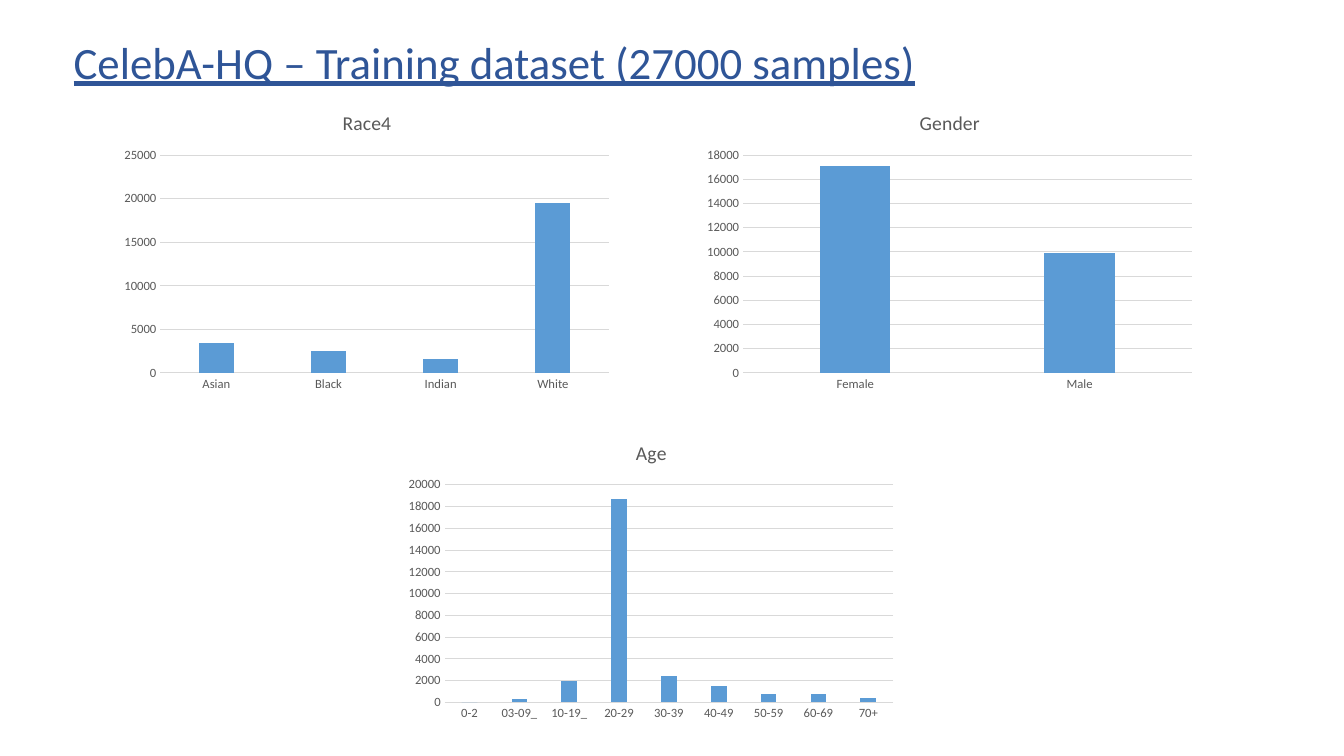
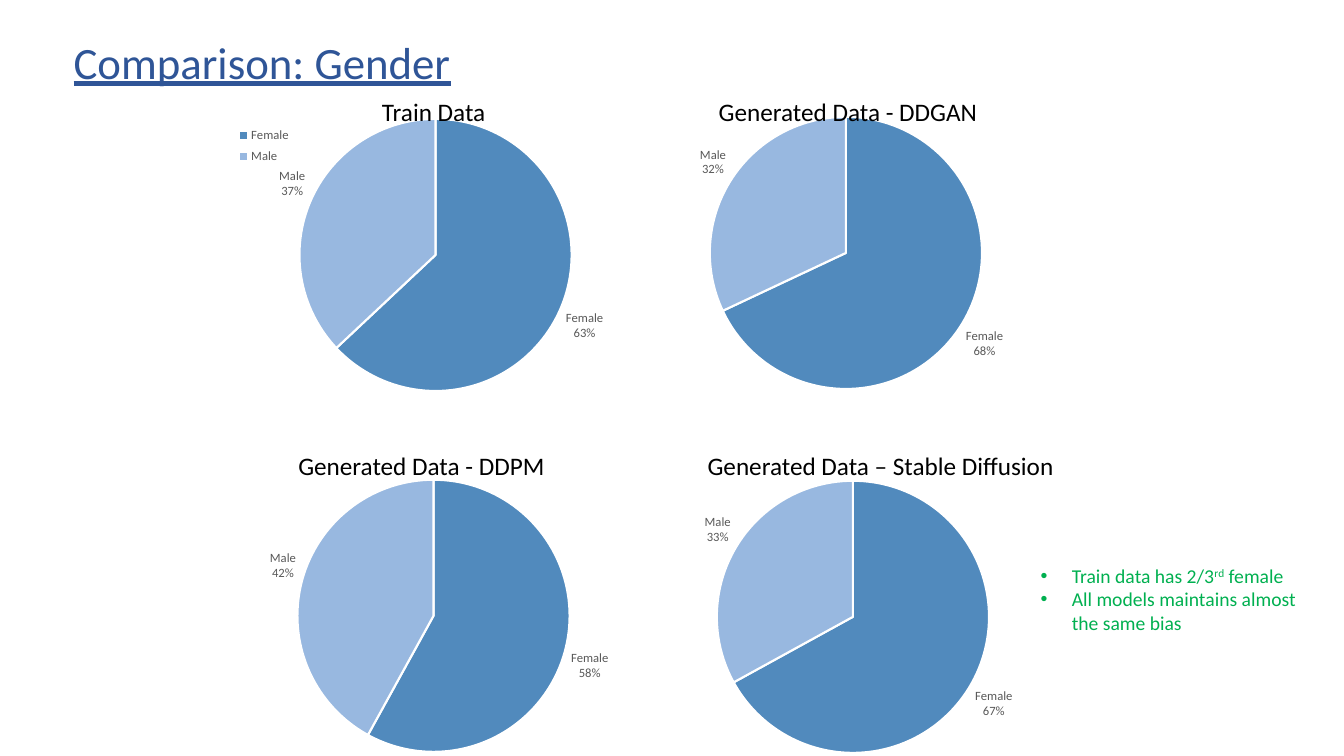
from pptx import Presentation
from pptx.chart.data import CategoryChartData
from pptx.dml.color import RGBColor
from pptx.enum.chart import XL_CHART_TYPE, XL_LABEL_POSITION, XL_LEGEND_POSITION, XL_TICK_MARK
from pptx.enum.text import MSO_ANCHOR, MSO_AUTO_SIZE, PP_ALIGN
from pptx.oxml import parse_xml
from pptx.oxml.ns import nsdecls, qn
from pptx.util import Emu, Pt

COLUMN, PIE = XL_CHART_TYPE.COLUMN_CLUSTERED, XL_CHART_TYPE.PIE
OUTSIDE = XL_LABEL_POSITION.OUTSIDE_END
RIGHT = XL_LEGEND_POSITION.RIGHT
NO_TICK = XL_TICK_MARK.NONE
TOP, LEFT = MSO_ANCHOR.TOP, PP_ALIGN.LEFT
FIT = MSO_AUTO_SIZE.SHAPE_TO_FIT_TEXT

# Shared style
PX = 9144  # 100 px to the inch
FONT = "Calibri"
BLUE, GREEN, BLACK, WHITE = "2F5597", "00B050", "000000", "FFFFFF"
GRAY, RULE, BAR = "595959", "D9D9D9", "5B9BD5"
SLICES = ("518ABD", "98B8E0")
TITLE_BOX = (63, 29, 878, 64)
CHART_SIZE = (500, 300)

# Slide 1: title, categories, values, left, top, axis maximum, axis step
DATASET_TITLE = "CelebA-HQ – Training dataset (27000 samples)"
COLUMNS = [
    ("Race4", ["Asian", "Black", "Indian", "White"],
     [3400, 2500, 1600, 19500], 114, 94, 25000, 5000),
    ("Gender", ["Female", "Male"], [17100, 9900], 692, 94, 18000, 2000),
    ("Age", ["0-2", "03-09_", "10-19_", "20-29", "30-39", "40-49", "50-59", "60-69", "70+"],
     [0, 300, 2000, 18700, 2400, 1500, 800, 800, 400], 396, 421, 20000, 2000),
]
COLUMN_PLOT = (0.09, 0.2, 0.89, 0.72)

# Slide 2: heading, heading box, shares, chart corner, plot left, legend
COMPARISON_TITLE = "Comparison: Gender"
GENDERS = ["Female", "Male"]
PIES = [
    ("Train Data", (369, 91, 132, 40), [63, 37], (222, 103), 0.15, True),
    ("Generated Data - DDGAN", (703, 91, 298, 40), [68, 32], (594, 101), 0.22, False),
    ("Generated Data - DDPM", (286, 442, 298, 40), [58, 42], (185, 461), 0.22, False),
    ("Generated Data – Stable Diffusion", (692, 442, 390, 40), [67, 33], (601, 462), 0.22, False),
]
LEGEND_AREA = (0.02, 0.06, 0.12, 0.16)
FINDINGS_BOX = (1022, 554, 298, 81)
FINDINGS = [  # paragraphs of (text, baseline in percent)
    [("Train data has 2/3", 0), ("rd", 30), (" female", 0)],
    [("All models maintains almost the same bias", 0)],
]


def px(*lengths):
    return [Emu(n * PX) for n in lengths]


def rgb(color):
    return RGBColor.from_string(color)


def style(font, size, color):
    font.name, font.size, font.color.rgb = FONT, Pt(size), rgb(color)


def write(sp, box, paragraphs, size=18, color=BLACK, underline=None, bullet=False):
    """Place a text shape and fill it with formatted paragraphs."""
    sp.left, sp.top, sp.width, sp.height = px(*box)
    tf = sp.text_frame
    tf.word_wrap, tf.auto_size, tf.vertical_anchor = True, FIT, TOP
    for i, runs in enumerate(paragraphs):
        p = tf.paragraphs[0] if i == 0 else tf.add_paragraph()
        if bullet:
            pPr = p._p.get_or_add_pPr()
            pPr.set("marL", str(31 * PX))
            pPr.set("indent", str(-31 * PX))
            pPr.append(parse_xml(f'<a:buFont {nsdecls("a")} typeface="Arial"/>'))
            pPr.append(parse_xml(f'<a:buChar {nsdecls("a")} char="•"/>'))
        p.alignment, p.space_before = LEFT, Pt(0)
        for text, baseline in runs:
            r = p.add_run()
            r.text = text
            style(r.font, size, color)
            r.font.underline = underline
            if baseline:
                r._r.get_or_add_rPr().set("baseline", str(baseline * 1000))


def new_slide(prs, layout, title):
    s = prs.slides.add_slide(prs.slide_layouts[layout])
    write(s.shapes.title, TITLE_BOX, [[(title, 0)]], size=32, color=BLUE, underline=True)
    return s


def set_layout(holder, area, index, inner=False):
    """Fix the position of a chart part as fractions of the chart."""
    for old in holder.findall(qn("c:layout")):
        holder.remove(old)
    target = '<c:layoutTarget val="inner"/>' if inner else ""
    modes = '<c:xMode val="edge"/><c:yMode val="edge"/>'
    sizes = "".join(f'<c:{k} val="{v}"/>' for k, v in zip("xywh", area))
    holder.insert(index, parse_xml(
        f'<c:layout {nsdecls("c")}><c:manualLayout>{target}{modes}{sizes}'
        '</c:manualLayout></c:layout>'))


def add_chart(s, kind, name, cats, vals, corner, plot_area):
    data = CategoryChartData()
    data.categories = cats
    data.add_series(name, vals)
    chart = s.shapes.add_chart(kind, *px(*corner, *CHART_SIZE), data).chart
    style(chart.font, 10, BLACK)
    chart.has_title = chart.has_legend = False
    chart.plots[0].vary_by_categories = kind == PIE
    root = chart.element
    set_layout(root.xpath(".//c:plotArea")[0], plot_area, 0, inner=True)
    root.find(qn("c:chart")).addnext(parse_xml(
        f'<c:spPr {nsdecls("c", "a")}><a:noFill/><a:ln><a:noFill/></a:ln></c:spPr>'))
    return chart


def add_columns(s, title, cats, vals, left, top, maximum, step):
    chart = add_chart(s, COLUMN, title, cats, vals, (left, top), COLUMN_PLOT)
    chart.has_title = True
    tf = chart.chart_title.text_frame
    tf.text = title
    style(tf.paragraphs[0].runs[0].font, 14, GRAY)
    tf.paragraphs[0].runs[0].font.bold = False
    chart.chart_title.include_in_layout = False

    plot = chart.plots[0]
    plot.gap_width, plot.overlap = 219, -27
    fill = plot.series[0].format.fill
    fill.solid()
    fill.fore_color.rgb = rgb(BAR)

    cat_axis, val_axis = chart.category_axis, chart.value_axis
    for axis in (cat_axis, val_axis):
        axis.major_tick_mark = axis.minor_tick_mark = NO_TICK
        style(axis.tick_labels.font, 9, GRAY)
    val_axis.minimum_scale, val_axis.maximum_scale, val_axis.major_unit = 0, maximum, step
    val_axis.format.line.fill.background()
    for line in (cat_axis.format.line, val_axis.major_gridlines.format.line):
        line.color.rgb, line.width = rgb(RULE), Pt(0.75)


def add_pie(s, name, vals, corner, plot_left, legend):
    chart = add_chart(s, PIE, name, GENDERS, vals, corner, (plot_left, 0.05, 0.54, 0.9))
    series = chart.plots[0].series[0]
    for i, color in enumerate(SLICES):
        fmt = series.points[i].format
        fmt.fill.solid()
        fmt.fill.fore_color.rgb = rgb(color)
        fmt.line.color.rgb, fmt.line.width = rgb(WHITE), Pt(1.5)

    labels = series.data_labels
    labels.show_value = False
    labels.show_category_name = labels.show_percentage = True
    labels.position = OUTSIDE
    style(labels.font, 9, GRAY)
    for flag in chart.element.xpath(".//c:ser/c:dLbls/c:showBubbleSize"):
        flag.addnext(parse_xml(f'<c:separator {nsdecls("c")}>\n</c:separator>'))

    if legend:
        chart.has_legend = True
        chart.legend.position = RIGHT
        chart.legend.include_in_layout = False
        style(chart.legend.font, 9, GRAY)
        set_layout(chart.element.xpath(".//c:legend")[0], LEGEND_AREA, 1)


def main():
    prs = Presentation()
    prs.slide_width, prs.slide_height = px(1333, 750)

    # Training dataset
    s = new_slide(prs, 5, DATASET_TITLE)
    for column in COLUMNS:
        add_columns(s, *column)

    # Gender comparison
    s = new_slide(prs, 1, COMPARISON_TITLE)
    for heading, box, vals, corner, plot_left, legend in PIES:
        add_pie(s, heading, vals, corner, plot_left, legend)
        write(s.shapes.add_textbox(*px(*box)), box, [[(heading, 0)]])
    write(s.placeholders[1], FINDINGS_BOX, FINDINGS, size=14, color=GREEN, bullet=True)

    prs.save("out.pptx")


if __name__ == "__main__":
    main()
